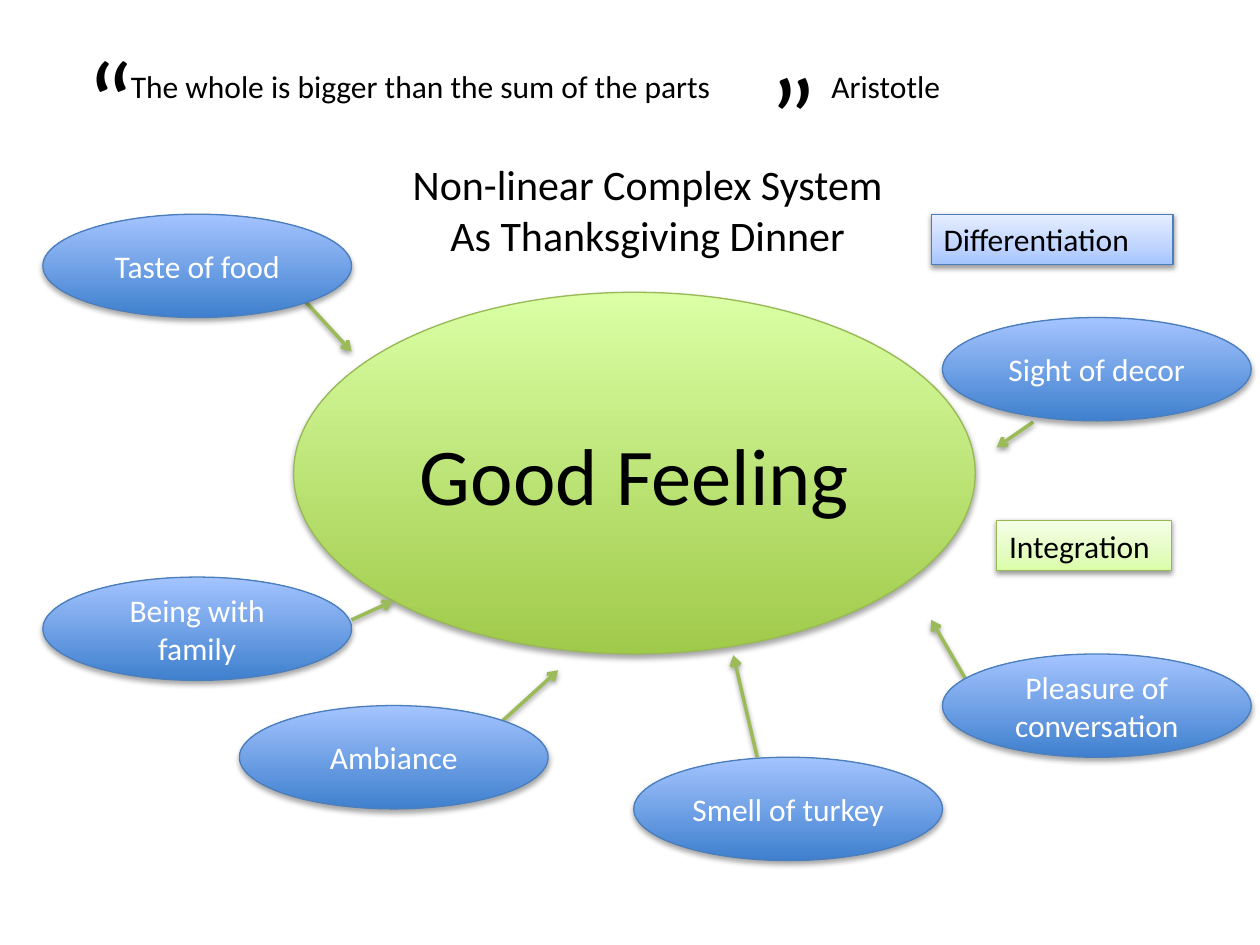
from pptx import Presentation
from pptx.dml.color import RGBColor
from pptx.enum.shapes import MSO_CONNECTOR, MSO_SHAPE
from pptx.enum.text import MSO_ANCHOR, MSO_AUTO_SIZE, PP_ALIGN
from pptx.oxml import parse_xml
from pptx.oxml.ns import nsdecls, qn
from pptx.util import Inches, Pt

OVAL, RECTANGLE = MSO_SHAPE.OVAL, MSO_SHAPE.RECTANGLE
STRAIGHT = MSO_CONNECTOR.STRAIGHT
LEFT, CENTER = PP_ALIGN.LEFT, PP_ALIGN.CENTER
TOP, MIDDLE = MSO_ANCHOR.TOP, MSO_ANCHOR.MIDDLE
FIT_SHAPE, FIXED = MSO_AUTO_SIZE.SHAPE_TO_FIT_TEXT, MSO_AUTO_SIZE.NONE
FONT = "Calibri"
TITLE_ONLY = 5
COLORS = {
    "black": "000000", "white": "FFFFFF", "arrow": "9BBB59",
    "green_line": "98B955", "green_dark": "A0CA4A", "green_light": "DAFFA5",
    "mint_dark": "DAFDA7", "mint": "E4FCC2", "mint_light": "F5FFE7",
    "blue_line": "4B7EBC", "blue_dark": "3F80CE", "blue_light": "A4C4FF",
    "sky": "BFD4FF", "sky_light": "E6EEFF",
}
WHOLE_FILL = [(0, "green_dark"), (100, "green_light")]
PART_FILL = [(0, "blue_dark"), (100, "blue_light")]
INTEGRATION_FILL = [(0, "mint_dark"), (35, "mint"), (100, "mint_light")]
DIFFERENTIATION_FILL = [(0, "blue_light"), (35, "sky"), (100, "sky_light")]
OVAL_SHADOW, FLAT_SHADOW = (35, 1.8), (38, 1.6)
PART_SIZE = (2.45, 0.82)
PARTS = [
    ("Taste of food", 0, 0),
    ("Being with family", 0, 2.88),
    ("Ambiance", 1.56, 3.9),
    ("Pleasure of conversation", 7.14, 3.49),
    ("Smell of turkey", 4.69, 4.31),
    ("Sight of decor", 7.14, 0.82),
]
ARROWS = [
    ((0.1, 0.08), (0.46, 0.47)),
    ((0.46, 2.6), (0.79, 2.45)),
    ((1.66, 3.4), (2.1, 3)),
    ((3.68, 3.69), (3.49, 2.88)),
    ((5.34, 3.08), (5.06, 2.6)),
    ((5.87, 1.03), (5.58, 1.23)),
]


def color(name):
    """Return the named colour."""
    return RGBColor.from_string(COLORS[name])


def place(box, left, top, width, height):
    """Return a rectangle whose corner is offset from the corner of box."""
    return [Inches(value) for value in (box[0] + left, box[1] + top, width, height)]


def write(frame, lines, size, tone="black", align=LEFT, anchor=TOP, fit=FIT_SHAPE):
    """Fill a text frame with one paragraph for each line."""
    frame.word_wrap = True
    frame.auto_size = fit
    frame.vertical_anchor = anchor
    for index, line in enumerate(lines):
        para = frame.add_paragraph() if index else frame.paragraphs[0]
        para.alignment = align
        span = para.add_run()
        span.text = line
        span.font.name, span.font.size = FONT, Pt(size)
        span.font.color.rgb = color(tone)


def add_shadow(shape, opacity, distance):
    """Give a shape or connector a soft shadow below it."""
    shape.element.spPr.append(parse_xml(
        f'<a:effectLst {nsdecls("a")}><a:outerShdw blurRad="{Pt(3.1)}" '
        f'dist="{Pt(distance)}" dir="5400000" rotWithShape="0">'
        f'<a:srgbClr val="{COLORS["black"]}"><a:alpha val="{opacity * 1000}"/>'
        '</a:srgbClr></a:outerShdw></a:effectLst>'))


def add_gradient_shape(group, preset, rectangle, stops, line, shadow):
    """Add a shape with an upward gradient, a thin outline and a shadow."""
    shape = group.shapes.add_shape(preset, *rectangle)
    stop_xml = "".join(
        f'<a:gs pos="{position * 1000}"><a:srgbClr val="{COLORS[name]}"/></a:gs>'
        for position, name in stops)
    shape.element.spPr.find(qn("a:prstGeom")).addnext(parse_xml(
        f'<a:gradFill {nsdecls("a")} rotWithShape="1"><a:gsLst>{stop_xml}</a:gsLst>'
        '<a:lin ang="16200000" scaled="0"/></a:gradFill>'))
    shape.line.color.rgb = color(line)
    shape.line.width = Pt(0.75)
    add_shadow(shape, *shadow)
    return shape


def add_oval(group, rectangle, text, size, tone, stops, line):
    """Add an oval with centred text."""
    oval = add_gradient_shape(group, OVAL, rectangle, stops, line, OVAL_SHADOW)
    write(oval.text_frame, [text], size, tone, CENTER, MIDDLE, FIXED)


def add_label(group, rectangle, text, stops, line):
    """Add a rectangular label."""
    label = add_gradient_shape(group, RECTANGLE, rectangle, stops, line, FLAT_SHADOW)
    write(label.text_frame, [text], 18)


def add_arrow(group, box, start, end):
    """Add an arrow between two points offset from the corner of box."""
    ends = [Inches(box[axis] + point[axis]) for point in (start, end) for axis in (0, 1)]
    arrow = group.shapes.add_connector(STRAIGHT, *ends)
    arrow.line.color.rgb = color("arrow")
    arrow.line.width = Pt(2)
    arrow.element.spPr.find(qn("a:ln")).append(
        parse_xml(f'<a:tailEnd {nsdecls("a")} type="arrow"/>'))
    add_shadow(arrow, *FLAT_SHADOW)


def add_quotation(page, box):
    """Add the quotation, its author and the large quotation marks."""
    for text, size, offset in [
        ("The whole is bigger than the sum of the parts", 18, (0.35, 0.29, 5, 0.4)),
        ("Aristotle", 18, (5.91, 0.29, 2.8, 0.4)),
        ("“", 65, (0, 0, 0.76, 1.19)),
        ("”", 65, (5.42, 0.12, 1.38, 1.19)),
    ]:
        textbox = page.shapes.add_textbox(*place(box, *offset))
        write(textbox.text_frame, [text], size)


def add_heading(page, box):
    """Move the title placeholder into box and fill it."""
    title = page.shapes.title
    title.left, title.top, title.width, title.height = place(box, 0, 0, *box[2:])
    write(title.text_frame, ["Non-linear Complex System", "As Thanksgiving Dinner"],
          24, align=CENTER)


def add_integration(page, box):
    """Add the whole, its label and the arrows that lead to it."""
    group = page.shapes.add_group_shape()
    add_oval(group, place(box, 0, 0, 5.41, 2.87), "Good Feeling", 46, "black",
             WHOLE_FILL, "green_line")
    add_label(group, place(box, 5.58, 1.81, 1.39, 0.4), "Integration",
              INTEGRATION_FILL, "green_line")
    for start, end in ARROWS:
        add_arrow(group, box, start, end)


def add_differentiation(page, box):
    """Add the separate parts and their label."""
    group = page.shapes.add_group_shape()
    for text, left, top in PARTS:
        add_oval(group, place(box, left, top, *PART_SIZE), text, 18, "white",
                 PART_FILL, "blue_line")
    add_label(group, place(box, 7.05, 0, 1.92, 0.4), "Differentiation",
              DIFFERENTIATION_FILL, "blue_line")


def main():
    """Build the slide and save the deck."""
    deck = Presentation()
    deck.slide_width, deck.slide_height = Inches(10), Inches(7.5)
    page = deck.slides.add_slide(deck.slide_layouts[TITLE_ONLY])
    add_quotation(page, (0.59, 0.19, 8.71, 1.31))
    add_integration(page, (2.33, 2.32, 6.97, 3.69))
    add_differentiation(page, (0.34, 1.7, 9.59, 5.13))
    add_heading(page, (2.96, 1.21, 4.36, 0.91))
    deck.save("out.pptx")


if __name__ == "__main__":
    main()
